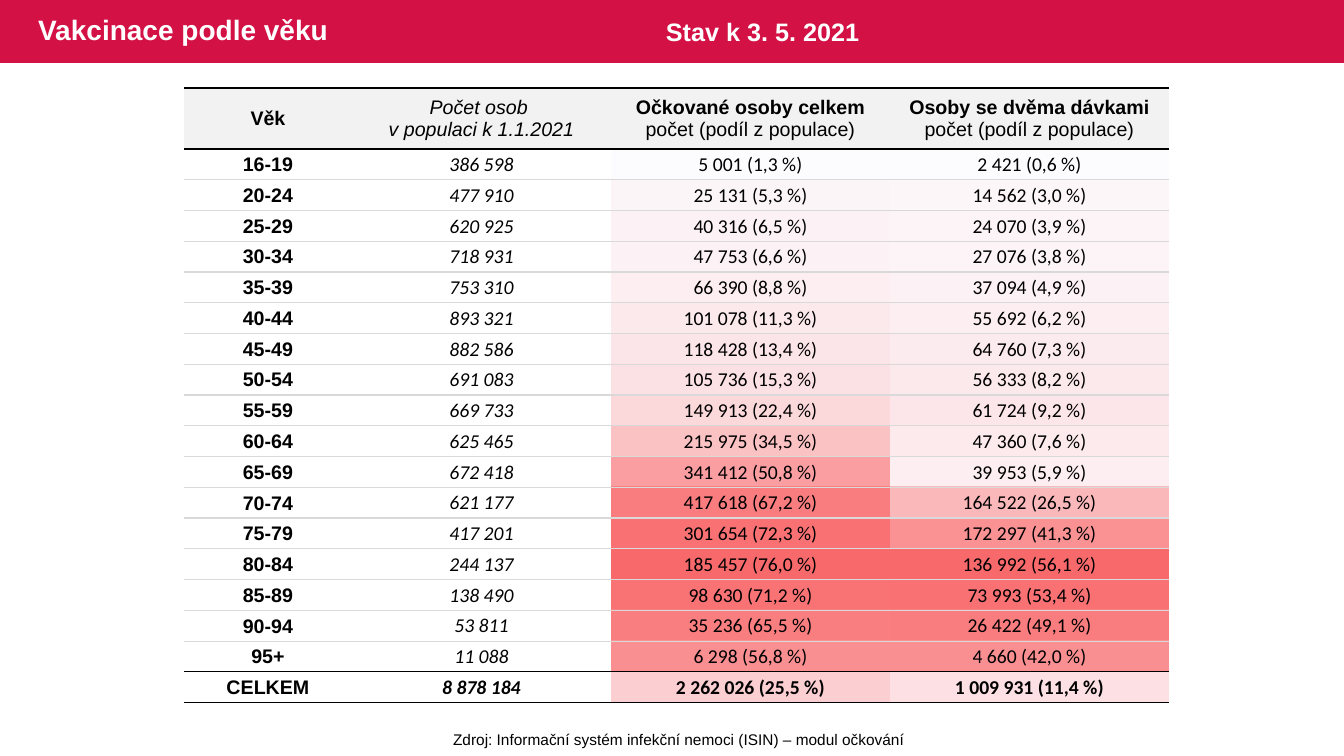
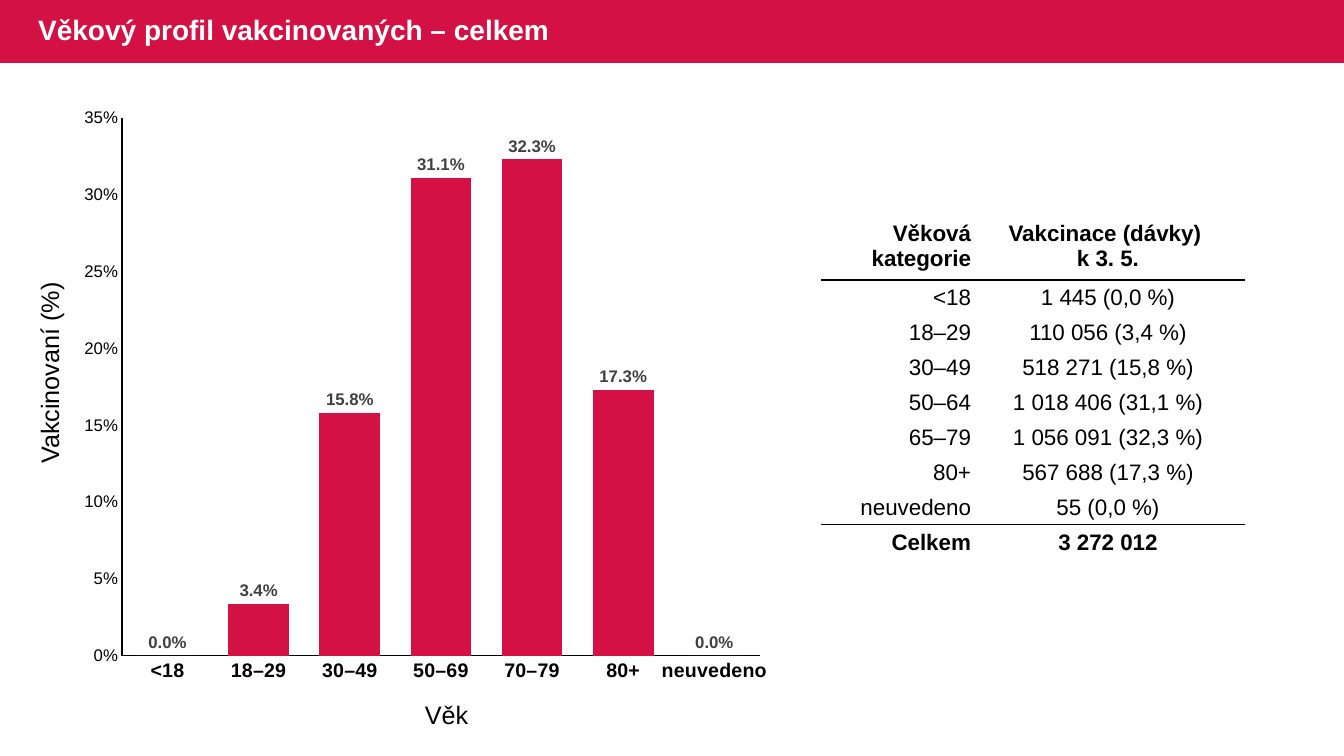
from lxml import etree
from pptx import Presentation
from pptx.chart.data import CategoryChartData
from pptx.dml.color import RGBColor
from pptx.enum.chart import XL_CHART_TYPE, XL_LABEL_POSITION, XL_TICK_MARK
from pptx.enum.shapes import MSO_SHAPE
from pptx.enum.text import MSO_ANCHOR, PP_ALIGN
from pptx.oxml.ns import qn
from pptx.util import Pt

PX = 9071
RED = RGBColor(0xD3, 0x11, 0x45)
WHITE = RGBColor(0xFF, 0xFF, 0xFF)
BLACK = RGBColor(0, 0, 0)
DARK_GREY = RGBColor(0x40, 0x40, 0x40)
LINE_GREY = RGBColor(0xD9, 0xD9, 0xD9)
HEADER_GREY = RGBColor(0xF2, 0xF2, 0xF2)
LEFT, CENTER, RIGHT = PP_ALIGN.LEFT, PP_ALIGN.CENTER, PP_ALIGN.RIGHT
MIDDLE = MSO_ANCHOR.MIDDLE
NO_TICKS = XL_TICK_MARK.NONE
NO_GRID_STYLE = "{2D5ABB26-0587-4C30-8999-92F81FD0307C}"


def write(text_frame, text, size=14, font="Arial", color=BLACK, bold=False,
          italic=False, alignment=CENTER, line_spacing=None):
    paragraph = text_frame.paragraphs[0]
    if paragraph.runs:
        paragraph = text_frame.add_paragraph()
    paragraph.alignment = alignment
    paragraph.line_spacing = line_spacing
    run = paragraph.add_run()
    run.text = text
    run.font.size = Pt(size)
    run.font.name = font
    run.font.color.rgb = color
    run.font.bold = bold
    run.font.italic = italic


def add_grid(slide, left, top, widths, heights, lines, side=None):
    frame = slide.shapes.add_table(len(heights), len(widths), left * PX, top * PX,
                                   sum(widths), sum(heights))
    table = frame.table
    table.first_row = table.horz_banding = False
    frame.element.find(".//" + qn("a:tableStyleId")).text = NO_GRID_STYLE
    for column, width in zip(table.columns, widths):
        column.width = width
    for row, height, edges in zip(table.rows, heights, zip(lines, lines[1:])):
        row.height = height
        for cell in row.cells:
            cell.margin_left = cell.margin_right = cell.margin_top = PX
            cell.margin_bottom = 0
            cell.vertical_anchor = MIDDLE
            properties = cell._tc.get_or_add_tcPr()
            for tag, color in zip(("a:lnL", "a:lnR", "a:lnT", "a:lnB"), (side, side, *edges)):
                if color is not None:
                    line = etree.SubElement(properties, qn(tag), w=str(Pt(1)))
                    fill = etree.SubElement(line, qn("a:solidFill"))
                    etree.SubElement(fill, qn("a:srgbClr"), val=str(color))
            cell.fill.background()
    return table


presentation = Presentation()
presentation.slide_width = 1344 * PX
presentation.slide_height = 756 * PX

layout = presentation.slide_layouts[5]
layout_title = layout.placeholders[0]
layout_title.left, layout_title.top = 28 * PX, 0
layout_title.width, layout_title.height = 819 * PX, 63 * PX

slides = []
for title in ("Vakcinace podle věku", "Věkový profil vakcinovaných – celkem"):
    slide = presentation.slides.add_slide(layout)
    title_frame = slide.shapes.title.text_frame
    title_frame.vertical_anchor = MIDDLE
    write(title_frame, title, size=20, color=WHITE, bold=True, alignment=LEFT,
          line_spacing=0.9)
    slides.append(slide)
age_slide, profile_slide = slides

band = age_slide.shapes.add_shape(MSO_SHAPE.RECTANGLE, 0, 0, 1344 * PX, 63 * PX)
band.shadow.inherit = False
band.fill.solid()
band.fill.fore_color.rgb = RED
band.line.fill.background()
band.element.nvSpPr.cNvPr.set("id", "20")
layout.shapes.element.insert(2, band.element)

labels = [
    (age_slide, "Stav k 3. 5. 2021", (656, 11, 298, 40), 0,
     dict(size=18, color=WHITE, bold=True, alignment=LEFT)),
    (age_slide, "Zdroj: Informační systém infekční nemoci (ISIN) – modul očkování",
     (442, 725, 474, 29), 0, dict(size=11)),
    (profile_slide, "Věk", (414, 694, 65, 40), 0, dict(size=18)),
    (profile_slide, "Vakcinovaní (%)", (-53, 353, 204, 40), 270, dict(size=18)),
]
for slide, text, box, rotation, text_format in labels:
    shape = slide.shapes.add_textbox(*(length * PX for length in box))
    shape.rotation = rotation
    shape.text_frame.word_wrap = False
    write(shape.text_frame, text, **text_format)

age_headers = [
    [("Věk", dict(bold=True))],
    [("Počet osob ", dict(italic=True)), ("v populaci k 1.1.2021", dict(italic=True))],
    [("Očkované osoby celkem", dict(bold=True)), ("počet (podíl z populace)", {})],
    [("Osoby se dvěma dávkami", dict(bold=True)), ("počet (podíl z populace)", {})],
]
age_rows = [
    ("16-19", "386 598", "5 001 (1,3 %)", "2 421 (0,6 %)", "FCFCFF", "FCFCFF"),
    ("20-24", "477 910", "25 131 (5,3 %)", "14 562 (3,0 %)", "FCF5F8", "FCF6F9"),
    ("25-29", "620 925", "40 316 (6,5 %)", "24 070 (3,9 %)", "FCF2F5", "FCF4F7"),
    ("30-34", "718 931", "47 753 (6,6 %)", "27 076 (3,8 %)", "FCF2F5", "FCF4F7"),
    ("35-39", "753 310", "66 390 (8,8 %)", "37 094 (4,9 %)", "FCEEF1", "FCF1F4"),
    ("40-44", "893 321", "101 078 (11,3 %)", "55 692 (6,2 %)", "FCE9EC", "FCEEF1"),
    ("45-49", "882 586", "118 428 (13,4 %)", "64 760 (7,3 %)", "FCE5E8", "FCEBEE"),
    ("50-54", "691 083", "105 736 (15,3 %)", "56 333 (8,2 %)", "FCE1E4", "FCE9EB"),
    ("55-59", "669 733", "149 913 (22,4 %)", "61 724 (9,2 %)", "FBD8DA", "FCE6E9"),
    ("60-64", "625 465", "215 975 (34,5 %)", "47 360 (7,6 %)", "FBC2C4", "FCEAED"),
    ("65-69", "672 418", "341 412 (50,8 %)", "39 953 (5,9 %)", "FA9EA1", "FCEEF1"),
    ("70-74", "621 177", "417 618 (67,2 %)", "164 522 (26,5 %)", "F97C7E", "FBB8BB"),
    ("75-79", "417 201", "301 654 (72,3 %)", "172 297 (41,3 %)", "F97173", "FA9193"),
    ("80-84", "244 137", "185 457 (76,0 %)", "136 992 (56,1 %)", "F8696B", "F8696B"),
    ("85-89", "138 490", "98 630 (71,2 %)", "73 993 (53,4 %)", "F97375", "F97173"),
    ("90-94", "53 811", "35 236 (65,5 %)", "26 422 (49,1 %)", "F97E80", "F97C7E"),
    ("95+", "11 088", "6 298 (56,8 %)", "4 660 (42,0 %)", "FA8F91", "FA8F91"),
    ("CELKEM", "8 878 184", "2 262 026 (25,5 %)", "1 009 931 (11,4 %)", "FBCED1", "FCE0E3"),
]
age_widths = [width * PX for width in (168, 259, 279, 279)]
age_heights = [554 * PX // len(age_rows)] * len(age_rows)
age_lines = [BLACK] * 2 + [LINE_GREY] * (len(age_rows) - 2) + [BLACK] * 2

heat_table = add_grid(age_slide, 611, 148, age_widths[2:], age_heights,
                      [None] * (len(age_rows) + 1))
age_table = add_grid(age_slide, 184, 88, age_widths, [61 * PX] + age_heights, age_lines)
for column_index, header in enumerate(age_headers):
    cell = age_table.cell(0, column_index)
    cell.fill.solid()
    cell.fill.fore_color.rgb = HEADER_GREY
    for text, text_format in header:
        write(cell.text_frame, text, **text_format)
for row_index, (*texts, total_fill, second_fill) in enumerate(age_rows):
    is_total = row_index == len(age_rows) - 1
    for column_index, text in enumerate(texts):
        write(age_table.cell(row_index + 1, column_index).text_frame, text,
              font="Calibri" if column_index else "Arial",
              bold=is_total or column_index == 0, italic=column_index == 1)
    for column_index, heat in enumerate((total_fill, second_fill)):
        cell = heat_table.cell(row_index, column_index)
        cell.fill.solid()
        cell.fill.fore_color.rgb = RGBColor.from_string(heat)
        paragraph = cell.text_frame.paragraphs[0]
        etree.SubElement(paragraph._p, qn("a:endParaRPr"), sz="1400")

chart_data = CategoryChartData(number_format="0.0%")
chart_data.categories = ["<18", "18–29", "30–49", "50–69", "70–79", "80+", "neuvedeno"]
chart_data.add_series("Series 1", (0, 0.034, 0.158, 0.311, 0.323, 0.173, 0))
chart = profile_slide.shapes.add_chart(XL_CHART_TYPE.COLUMN_CLUSTERED, 70 * PX, 97 * PX,
                                       713 * PX, 598 * PX, chart_data).chart
chart.has_legend = chart.has_title = False
chart.font.size = Pt(10)
chart.font.name = "Arial"
chart.font.color.rgb = BLACK

plot = chart.plots[0]
plot.vary_by_categories = False
plot.gap_width = 50
plot.overlap = -27
series = plot.series[0]
series.format.fill.solid()
series.format.fill.fore_color.rgb = RED
data_labels = series.data_labels
data_labels.show_value = True
data_labels.number_format = "0.0%"
data_labels.number_format_is_linked = False
data_labels.position = XL_LABEL_POSITION.OUTSIDE_END

value_axis, category_axis = chart.value_axis, chart.category_axis
value_axis.minimum_scale, value_axis.maximum_scale = 0, 0.35
value_axis.major_unit = 0.05
value_axis.has_major_gridlines = False
value_axis.tick_labels.number_format = "0%"
value_axis.tick_labels.number_format_is_linked = False
for axis in (value_axis, category_axis):
    axis.major_tick_mark = axis.minor_tick_mark = NO_TICKS
    axis.format.line.color.rgb = BLACK
    axis.format.line.width = Pt(0.75)
for font, size, color, bold in (
    (value_axis.tick_labels.font, 12, BLACK, False),
    (category_axis.tick_labels.font, 14, BLACK, True),
    (data_labels.font, 12, DARK_GREY, True),
):
    font.name = "Arial"
    font.size = Pt(size)
    font.color.rgb = color
    font.bold = bold
category_axis._element.find(".//" + qn("a:bodyPr")).set("rot", "-60000000")

plot_area = chart._chartSpace.find(".//" + qn("c:plotArea"))
for old_layout in plot_area.findall(qn("c:layout")):
    plot_area.remove(old_layout)
plot_layout = etree.Element(qn("c:layout"))
plot_area.insert(0, plot_layout)
manual_layout = etree.SubElement(plot_layout, qn("c:manualLayout"))
for tag, value in (("layoutTarget", "inner"), ("xMode", "edge"), ("yMode", "edge"),
                   ("x", 52 / 713), ("y", 21 / 598), ("w", 638 / 713), ("h", 538 / 598)):
    etree.SubElement(manual_layout, qn("c:" + tag), val=str(value))

profile_rows = [
    (["Věková kategorie"], ["Vakcinace (dávky) ", "k 3. 5."]),
    (["<18"], ["1 445 (0,0 %)"]),
    (["18–29"], ["110 056 (3,4 %)"]),
    (["30–49"], ["518 271 (15,8 %)"]),
    (["50–64"], ["1 018 406 (31,1 %)"]),
    (["65–79"], ["1 056 091 (32,3 %)"]),
    (["80+"], ["567 688 (17,3 %)"]),
    (["neuvedeno"], ["55 (0,0 %)"]),
    (["Celkem"], ["3 272 012"]),
]
profile_lines = [WHITE, BLACK] + [WHITE] * 6 + [BLACK, WHITE]
profile_table = add_grid(profile_slide, 822, 211, [150 * PX, 272 * PX],
                         [69 * PX] + [35 * PX] * 8, profile_lines, side=WHITE)
for row_index, row in enumerate(profile_rows):
    for column_index, (texts, alignment) in enumerate(zip(row, (RIGHT, CENTER))):
        for text in texts:
            write(profile_table.cell(row_index, column_index).text_frame, text, size=16,
                  bold=row_index in (0, len(profile_rows) - 1), alignment=alignment)

presentation.save("out.pptx")
